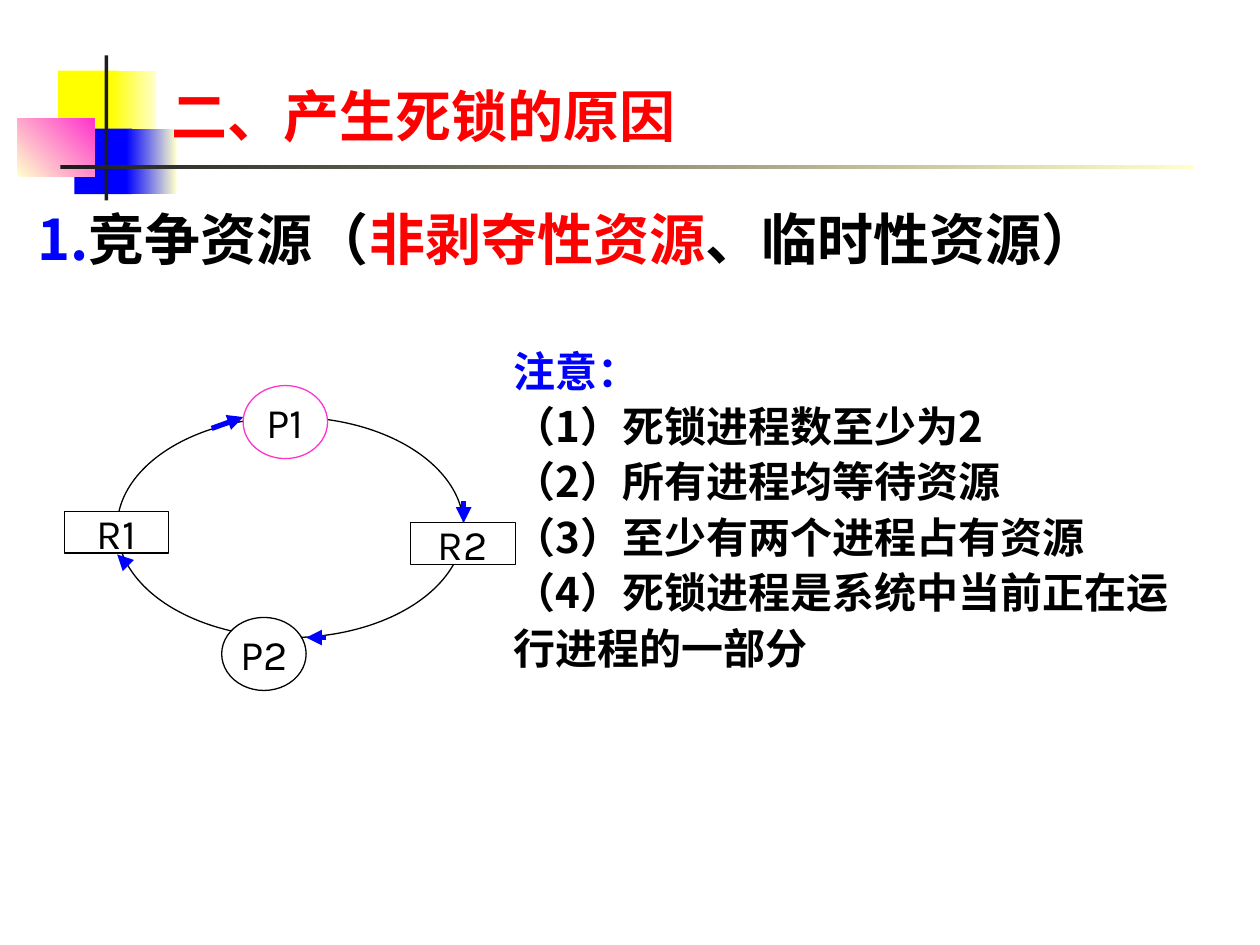
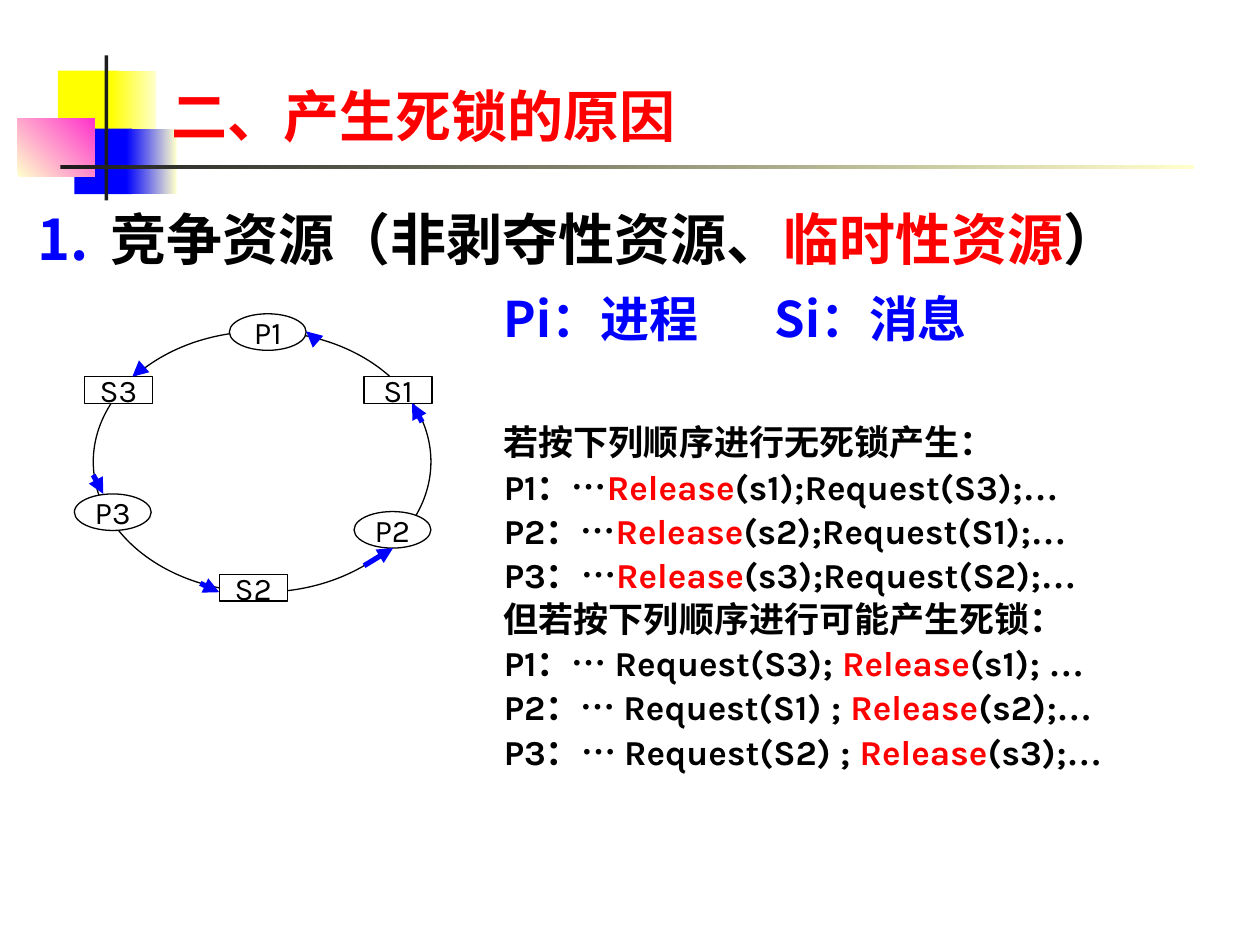
from dataclasses import dataclass
from lxml.etree import SubElement
from pptx import Presentation
from pptx.dml.color import RGBColor
from pptx.enum.shapes import MSO_CONNECTOR, MSO_SHAPE
from pptx.enum.text import MSO_ANCHOR, PP_ALIGN
from pptx.oxml.ns import qn
from pptx.util import Inches, Pt


@dataclass(frozen=True)
class Theme:
    """Colours, fonts and type sizes shared by the slides."""
    black: str = "000000"
    white: str = "FFFFFF"
    red: str = "FF0000"
    blue: str = "0000FF"
    pink: str = "FF33CC"
    yellow: str = "FFFF00"
    cream: str = "FFFFCC"
    dark: str = "1C1C1C"
    cjk: str = "Noto Sans CJK SC"
    latin: str = "Karla"
    dots: str = "Times New Roman"
    heading: int = 32
    legend: int = 28
    note: int = 24
    code: int = 20


T = Theme()
TITLE = "二、产生死锁的原因"

# box, first colour, last colour (None for a flat fill), angle
DECORATION = [
    ((0.46, 0.56, 0.48, 0.52), T.yellow, None, 0),
    ((0.88, 0.56, 0.36, 0.52), T.yellow, T.cream, 0),
    ((0.59, 1.02, 0.46, 0.52), T.blue, None, 0),
    ((1.0, 1.02, 0.4, 0.52), T.blue, T.cream, 0),
    ((0.14, 0.94, 0.61, 0.46), T.cream, T.pink, 45),
    ((0.83, 0.44, 0.03, 1.15), T.dark, None, 0),
    ((0.48, 1.31, 9, 0.03), T.dark, T.cream, 0),
]

# Runs are (text, colour)
NON_PREEMPTIVE_HEADING = [
    ("竞争资源（", T.black), ("非剥夺性资源", T.red), ("、临时性资源）", T.black)]
TEMPORARY_HEADING = [
    ("竞争资源（非剥夺性资源、", T.black), ("临时性资源", T.red), ("）", T.black)]

NOTES = [
    [("注意：", T.blue)],
    [("（1）死锁进程数至少为2", T.black)],
    [("（2）所有进程均等待资源", T.black)],
    [("（3）至少有两个进程占有资源", T.black)],
    [("（4）死锁进程是系统中当前正在运行进程的一部分", T.black)],
]

LEGEND = [("Pi：进程\tSi：消息", T.blue)]
SAFE_INTRO = [("若按下列顺序进行无死锁产生：", T.black)]
RISKY_INTRO = [("但若按下列顺序进行可能产生死锁：", T.black)]
# process, text before Release, text after Release
SAFE_ORDER = [
    ("P1：", "", "(s1);Request(S3);"),
    ("P2：", "", "(s2);Request(S1);"),
    ("P3：", "", "(s3);Request(S2);"),
]
RISKY_ORDER = [
    ("P1：", " Request(S3); ", "(s1); "),
    ("P2：", " Request(S1) ; ", "(s2);"),
    ("P3：", " Request(S2) ; ", "(s3);"),
]

# Nodes are (text, left, top, line colour); arrows are (x1, y1, x2, y2)
RESOURCE_RING = {
    "ring": (0.93, 3.31, 2.75, 1.75),
    "size": 24,
    "box": (0.83, 0.33),
    "boxes": [("R1", 0.51, 4.06, T.black), ("R2", 3.26, 4.15, T.black)],
    "oval": (0.67, 0.58),
    "ovals": [("P1", 1.93, 3.06, T.pink), ("P2", 1.76, 4.9, T.black)],
    "arrows": [(1.68, 3.4, 1.93, 3.31), (3.68, 3.98, 3.68, 4.15),
               (2.59, 5.06, 2.43, 5.06), (1.01, 4.48, 0.93, 4.4)],
}
MESSAGE_RING = {
    "ring": (0.74, 2.63, 2.68, 2.07),
    "size": 18,
    "box": (0.54, 0.21),
    "boxes": [("S3", 0.67, 2.99, T.black), ("S1", 2.89, 2.99, T.black),
              ("S2", 1.74, 4.56, T.black)],
    "oval": (0.61, 0.29),
    "ovals": [("P1", 1.82, 2.49, T.black), ("P2", 2.81, 4.06, T.black),
              ("P3", 0.59, 3.92, T.black)],
    "arrows": [(2.51, 2.7, 2.43, 2.63), (1.13, 2.92, 1.05, 2.99),
               (0.74, 3.77, 0.82, 3.92), (1.59, 4.63, 1.74, 4.7),
               (2.89, 4.49, 3.12, 4.35), (3.35, 3.35, 3.27, 3.2)],
}


def rgb(color):
    """Turn a hex string into a colour."""
    return RGBColor.from_string(color)


def style_run(r, size, color, font, bold=True):
    """Format one run, with the CJK font for East Asian text."""
    r.font.size, r.font.bold, r.font.name = Pt(size), bold, font
    r.font.color.rgb = rgb(color)
    SubElement(r.font._element, qn("a:ea")).set("typeface", T.cjk)


def add_runs(p, runs, size, font, spacing=1.0, before=0):
    """Fill a paragraph with coloured runs; ellipses take their own font."""
    p.line_spacing, p.space_before = spacing, Pt(before)
    for text, color in runs:
        r = p.add_run()
        r.text = text
        style_run(r, size, color, T.dots if text == "…" else font)


def add_text_box(s, box):
    """Add a wrapping text box and return it."""
    sp = s.shapes.add_textbox(*map(Inches, box))
    sp.text_frame.word_wrap = True
    return sp


def add_shape(shapes, kind, box, fill, line=None):
    """Add a flat preset shape with an optional thin outline."""
    sp = shapes.add_shape(kind, *map(Inches, box))
    sp.shadow.inherit = False
    sp.fill.solid()
    sp.fill.fore_color.rgb = rgb(fill)
    if line:
        sp.line.color.rgb, sp.line.width = rgb(line), Pt(0.75)
    else:
        sp.line.fill.background()
    return sp


def add_node(shapes, kind, box, text, size, line):
    """Add a labelled process, resource or message node."""
    sp = add_shape(shapes, kind, box, T.white, line)
    tf = sp.text_frame
    tf.word_wrap, tf.vertical_anchor = False, MSO_ANCHOR.MIDDLE
    tf.text = text
    p = tf.paragraphs[0]
    p.alignment = PP_ALIGN.CENTER
    style_run(p.runs[0], size, T.black, T.latin, bold=False)


def add_arrow(shapes, ends):
    """Add a short blue arrow that marks the ring's direction."""
    c = shapes.add_connector(MSO_CONNECTOR.STRAIGHT, *map(Inches, ends))
    c.line.color.rgb, c.line.width = rgb(T.blue), Pt(3)
    SubElement(c.line._get_or_add_ln(), qn("a:tailEnd")).set("type", "triangle")
    SubElement(c._element.spPr, qn("a:effectLst"))


def add_ring(s, ring):
    """Draw a wait cycle as one group: ring, nodes, arrows."""
    shapes = s.shapes.add_group_shape().shapes
    add_shape(shapes, MSO_SHAPE.OVAL, ring["ring"], T.white, T.black)
    for name, kind in (("box", MSO_SHAPE.RECTANGLE), ("oval", MSO_SHAPE.OVAL)):
        for text, x, y, line in ring[name + ("es" if name == "box" else "s")]:
            add_node(shapes, kind, (x, y, *ring[name]), text, ring["size"], line)
    for ends in ring["arrows"]:
        add_arrow(shapes, ends)


def add_base(prs, heading, indent):
    """Start a slide with decoration, title and numbered heading."""
    s = prs.slides.add_slide(prs.slide_layouts[6])
    for box, first, last, angle in DECORATION:
        sp = add_shape(s.shapes, MSO_SHAPE.RECTANGLE, box, first)
        if last:
            sp.fill.gradient()
            sp.fill.gradient_angle = angle
            for stop, color, at in zip(sp.fill.gradient_stops, (first, last), (0, 1)):
                stop.color.rgb, stop.position = rgb(color), at
    tf = add_text_box(s, (1.26, 0.28, 8.52, 0.95)).text_frame
    tf.vertical_anchor = MSO_ANCHOR.BOTTOM
    add_runs(tf.paragraphs[0], [(TITLE, T.red)], T.heading, T.cjk)

    p = add_text_box(s, (0.2, 1.47, 9.37, 5.24)).text_frame.paragraphs[0]
    add_runs(p, heading, T.heading, T.cjk, 1.2)
    pPr = p._p.get_or_add_pPr()
    pPr.set("marL", str(Inches(indent)))
    pPr.set("indent", str(-Inches(indent)))
    SubElement(SubElement(pPr, qn("a:buClr")), qn("a:srgbClr")).set("val", T.blue)
    SubElement(pPr, qn("a:buFont")).set("typeface", T.cjk)
    SubElement(pPr, qn("a:buAutoNum")).set("type", "arabicPeriod")
    return s


def add_notes(s):
    """Add the remarks about deadlocked processes."""
    tf = add_text_box(s, (3.98, 2.65, 5.48, 2.74)).text_frame
    for i, runs in enumerate(NOTES):
        p = tf.add_paragraph() if i else tf.paragraphs[0]
        add_runs(p, runs, T.note, T.cjk, 1.1)


def order_lines(order):
    """Turn an order of calls into runs with Release in red."""
    for process, lead, rest in order:
        runs = [(process, T.black), ("…", T.black), (lead, T.black),
                ("Release", T.red), (rest, T.black), ("…", T.black)]
        yield [run for run in runs if run[0]]


def add_orders(s):
    """Add the legend and the safe and risky orders of calls."""
    sp = add_text_box(s, (3.9, 2.33, 5.59, 4.55))
    sp.fill.solid()
    sp.fill.fore_color.rgb = rgb(T.white)
    tf = sp.text_frame
    p = tf.paragraphs[0]
    add_runs(p, LEGEND, T.legend, T.cjk, 0.8)
    tab = SubElement(SubElement(p._p.get_or_add_pPr(), qn("a:tabLst")), qn("a:tab"))
    tab.set("pos", str(Inches(2.15)))
    tab.set("algn", "l")
    lines = [SAFE_INTRO, *order_lines(SAFE_ORDER),
             RISKY_INTRO, *order_lines(RISKY_ORDER)]
    for i, runs in enumerate(lines):
        add_runs(tf.add_paragraph(), runs, T.code, T.latin, 0.8, 6 if i else 47)


prs = Presentation()
prs.slide_width, prs.slide_height = Inches(10), Inches(7.5)

s = add_base(prs, NON_PREEMPTIVE_HEADING, 0.38)
add_ring(s, RESOURCE_RING)
add_notes(s)

s = add_base(prs, TEMPORARY_HEADING, 0.58)
add_orders(s)
add_ring(s, MESSAGE_RING)

prs.save("out.pptx")
